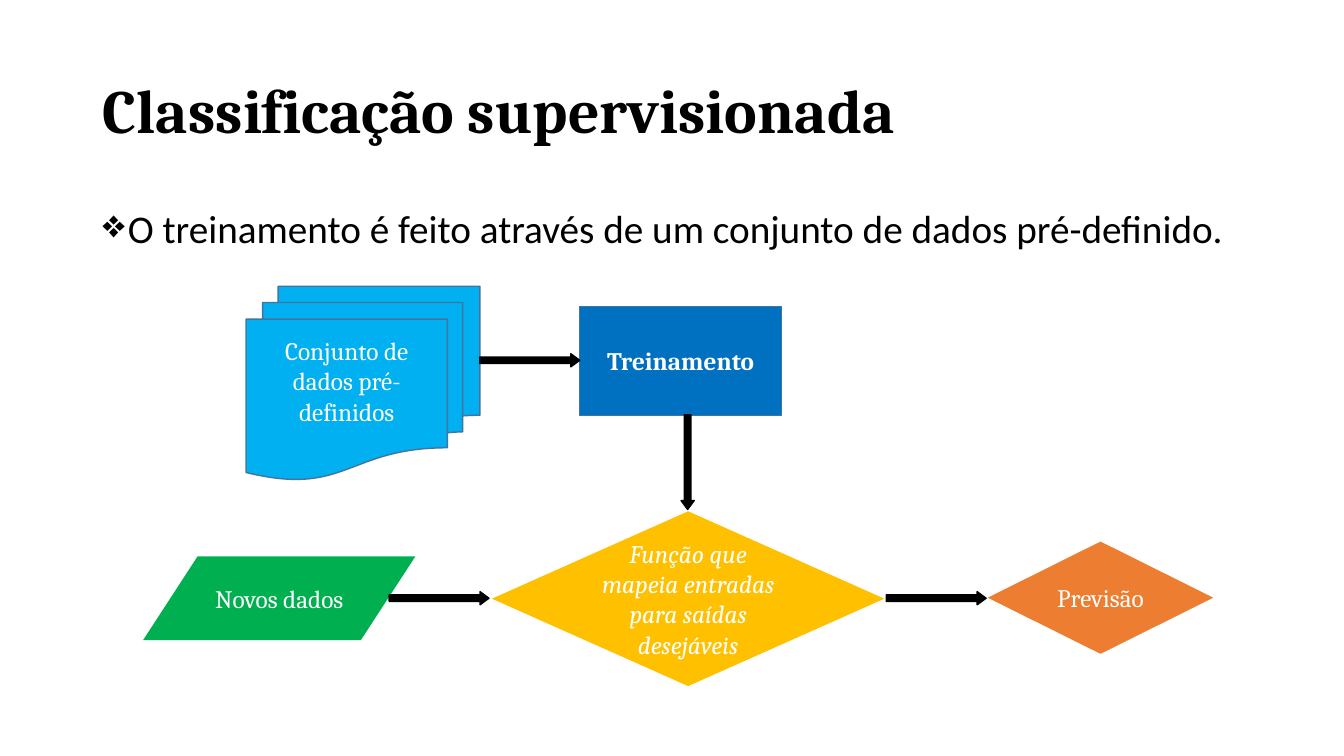
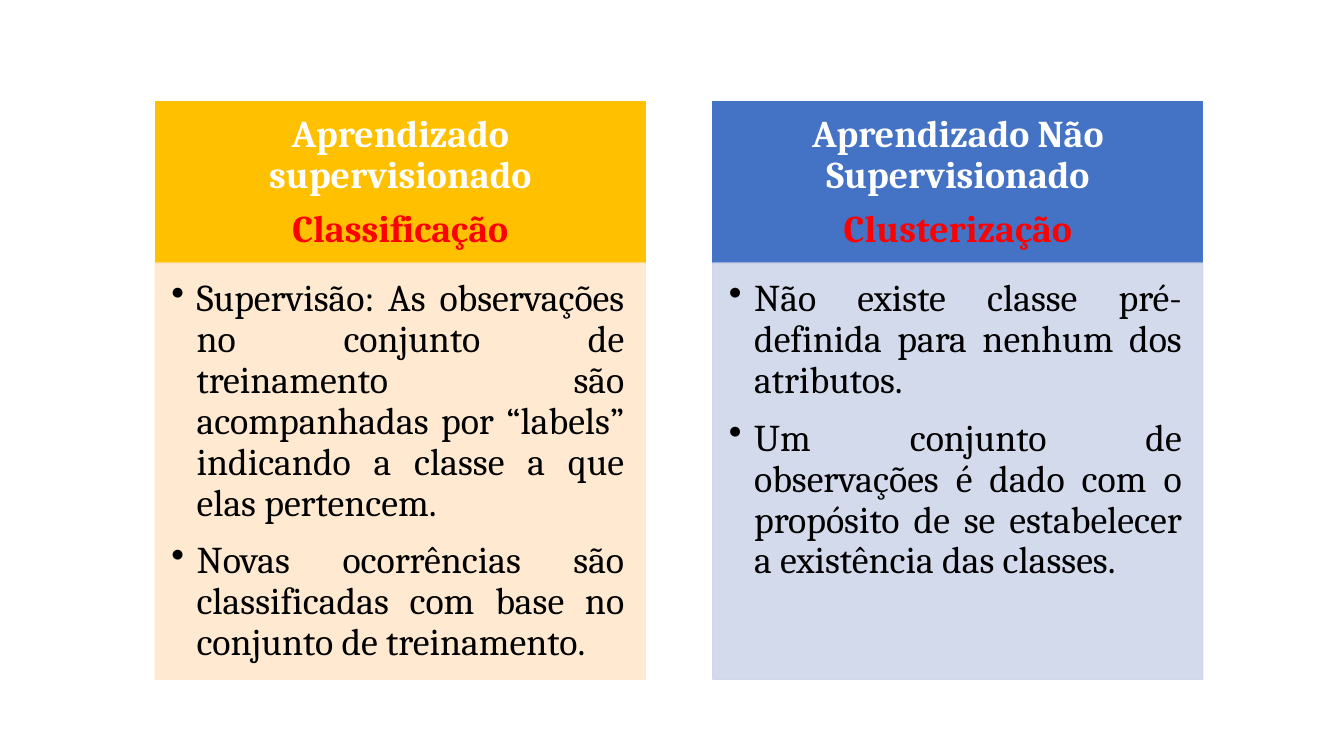
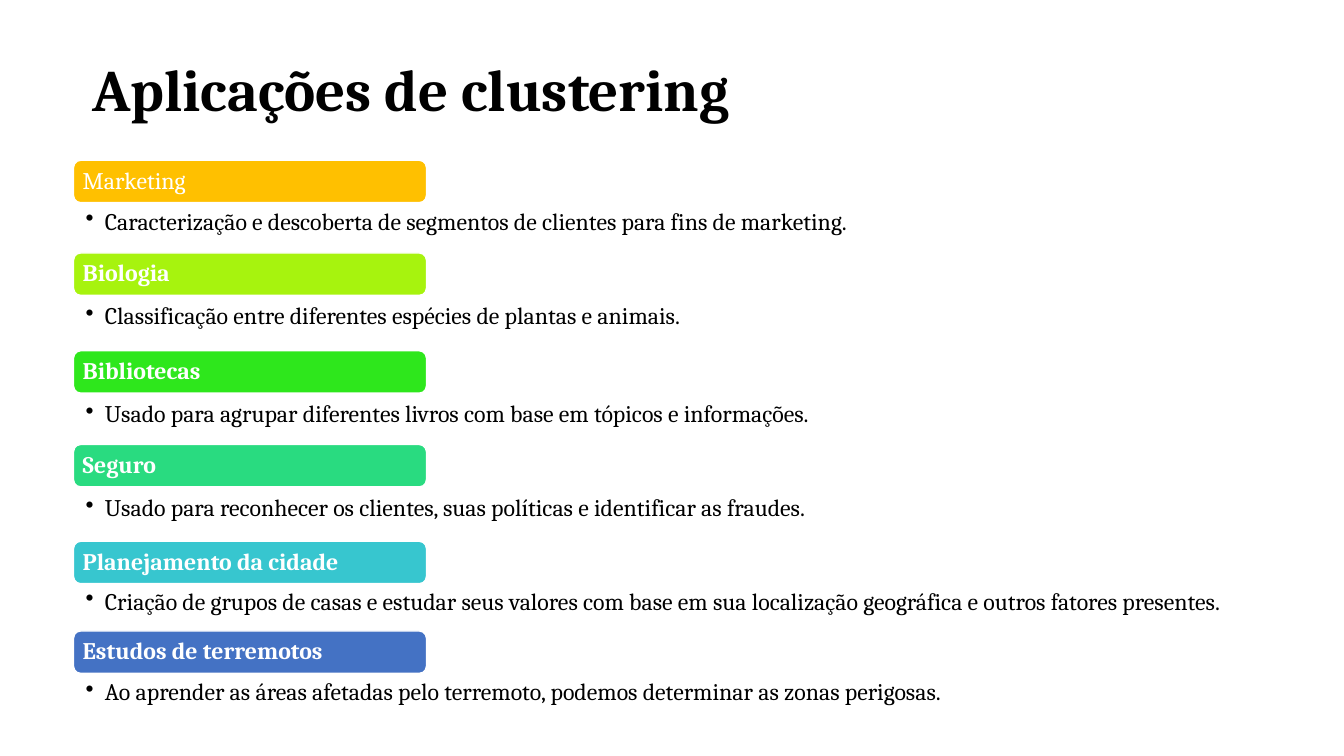
"""Build three slides on supervised learning, clustering and its uses."""
from pptx import Presentation
from pptx.dml.color import RGBColor
from pptx.enum.shapes import MSO_SHAPE as Kind
from pptx.enum.text import MSO_ANCHOR as Anchor, MSO_AUTO_SIZE as Fit, PP_ALIGN as Align
from pptx.oxml.ns import qn
from pptx.util import Inches, Pt
from lxml.etree import SubElement

HUES = {
    "black": "000000", "white": "FFFFFF", "red": "FF0000", "edge": "43739E",
    "gold": "FFC000", "blue": "4472C4", "navy": "0070C0", "sky": "00B0F0",
    "green": "00B050", "rust": "ED7D31", "cream": "FFE8CC", "pale": "CFD6EA",
    "lime": "A7F30E", "leaf": "2EE71C", "mint": "29DB80", "teal": "37C6CF",
}


def write(shape, *lines, font="Cambria", size=18, hues=("white",), bold=False, slant=False,
          align=Align.CENTER, anchor=Anchor.MIDDLE, space=1.0, before=0, after=0,
          bullet=None, hang=0.25, inset=(0.1, 0.05, 0.1, 0.05)):
    """Fill a shape with paragraphs; hues are taken in turn."""
    frame = shape.text_frame
    frame.word_wrap = True
    frame.auto_size = Fit.NONE
    frame.vertical_anchor = anchor
    frame.margin_left, frame.margin_top, frame.margin_right, frame.margin_bottom = map(Inches, inset)
    for i, line in enumerate(lines):
        para = frame.add_paragraph() if i else frame.paragraphs[0]
        para.alignment = align
        para.line_spacing = space
        para.space_before, para.space_after = Pt(before), Pt(after)
        run = para.add_run()
        run.text = line
        run.font.name, run.font.size = font, Pt(size)
        run.font.bold, run.font.italic = bold, slant
        run.font.color.rgb = RGBColor.from_string(HUES[hues[i % len(hues)]])
        if bullet:
            props = para._p.get_or_add_pPr()
            props.set("marL", str(Inches(hang)))
            props.set("indent", str(-Inches(hang)))
            SubElement(props, qn("a:buChar")).set("char", bullet)


def draw(slide, kind, box, fill, line=None, width=1, alpha=None):
    """Add a filled preset shape, with an outline if a line colour is given."""
    shape = slide.shapes.add_shape(kind, *map(Inches, box))
    shape.shadow.inherit = False
    shape.fill.solid()
    shape.fill.fore_color.rgb = RGBColor.from_string(HUES[fill])
    if line:
        shape.line.color.rgb = RGBColor.from_string(HUES[line])
        shape.line.width = Pt(width)
    else:
        shape.line.fill.background()
    if alpha:
        for tint in shape._element.spPr.iter(qn("a:srgbClr")):
            SubElement(tint, qn("a:alpha")).set("val", str(alpha * 1000))
    return shape


deck = Presentation()
deck.slide_width, deck.slide_height = Inches(13.33), Inches(7.5)
flow, pair, uses = [deck.slides.add_slide(deck.slide_layouts[n]) for n in (5, 6, 5)]

for slide, text, left, top, size in (
    (flow, "Classificação supervisionada", 0.92, 0.4, 44),
    (uses, "Aplicações de clustering", 0.82, 0.19, 42),
):
    title = slide.shapes.title
    title.left, title.top, title.width, title.height = map(Inches, (left, top, 11.5, 1.45))
    write(title, text, size=size, hues=["black"], bold=True, align=Align.LEFT, space=0.9)

body = flow.shapes.add_textbox(*map(Inches, (0.92, 2.03, 11.5, 4.76)))
write(body, "O treinamento é feito através de um conjunto de dados pré-definido.",
      font="Calibri", size=28, hues=["black"], align=Align.JUSTIFY, anchor=Anchor.TOP,
      space=0.9, before=10, bullet="❖")

for kind, box, fill, line, width, text, style in (
    (Kind.FLOWCHART_PROCESS, (5.75, 3.04, 2, 1.08), "navy", "edge", 1,
     "Treinamento", {"bold": True}),
    (Kind.FLOWCHART_DECISION, (4.85, 5.06, 3.95, 1.76), "gold", "white", 1.5,
     "Função que mapeia entradas para saídas desejáveis", {"slant": True}),
    (Kind.FLOWCHART_DATA, (1.42, 5.52, 2.7, 0.83), "green", None, 0, "Novos dados", {}),
    (Kind.FLOWCHART_DECISION, (9.77, 5.36, 2.29, 1.14), "rust", "white", 1.5, "Previsão", {}),
    (Kind.FLOWCHART_MULTIDOCUMENT, (2.44, 2.84, 2.32, 1.92), "sky", "edge", 1,
     "Conjunto de dados pré-definidos", {"inset": (0.1, 0.05, 0.1, 0.35)}),
):
    write(draw(flow, kind, box, fill, line, width), text, **style)

for left, top, width, turn in (
    (4.76, 3.51, 0.99, 0), (6.35, 4.52, 0.94, 90), (3.86, 5.87, 0.99, 0), (8.79, 5.87, 0.99, 0),
):
    arrow = draw(flow, Kind.RIGHT_ARROW, (left, top, width, 0.13), "black", "black")
    arrow.adjustments[1] = 0.68
    arrow.rotation = turn

for left, dark, light, heads, points in (
    (1.54, "gold", "cream", ("Aprendizado supervisionado", "Classificação"),
     ("Supervisão: As observações no conjunto de treinamento são acompanhadas por “labels” "
      "indicando a classe a que elas pertencem.",
      "Novas ocorrências são classificadas com base no conjunto de treinamento.")),
    (7.07, "blue", "pale", ("Aprendizado Não Supervisionado", "Clusterização"),
     ("Não existe classe pré-definida para nenhum dos atributos.",
      "Um conjunto de observações é dado com o propósito de se estabelecer "
      "a existência das classes.")),
):
    head = draw(pair, Kind.RECTANGLE, (left, 1.01, 4.86, 1.6), dark, dark)
    write(head, *heads, size=27, hues=("white", "red"), bold=True, space=0.9, after=9.45,
          inset=(0.21, 0.12, 0.21, 0.12))
    panel = draw(pair, Kind.RECTANGLE, (left, 2.61, 4.86, 4.13), light, light, alpha=90)
    write(panel, *points, size=27, hues=["black"], align=Align.JUSTIFY, anchor=Anchor.TOP,
          space=0.9, after=12, bullet="•", inset=(0.16, 0.16, 0.21, 0.24))

for top, low, fill, name, text in (
    (1.59, 2.06, "gold", "Marketing",
     "Caracterização e descoberta de segmentos de clientes para fins de marketing."),
    (2.51, 3, "lime", "Biologia",
     "Classificação entre diferentes espécies de plantas e animais."),
    (3.48, 3.97, "leaf", "Bibliotecas",
     "Usado para agrupar diferentes livros com base em tópicos e informações."),
    (4.41, 4.9, "mint", "Seguro",
     "Usado para reconhecer os clientes, suas políticas e identificar as fraudes."),
    (5.37, 5.83, "teal", "Planejamento da cidade",
     "Criação de grupos de casas e estudar seus valores com base em sua localização "
     "geográfica e outros fatores presentes."),
    (6.26, 6.73, "blue", "Estudos de terremotos",
     "Ao aprender as áreas afetadas pelo terremoto, podemos determinar as zonas perigosas."),
):
    label = draw(uses, Kind.ROUNDED_RECTANGLE, (0.73, top, 3.5, 0.42), fill, "white")
    write(label, name, size=17, bold=name != "Marketing", align=Align.LEFT, space=0.9,
          inset=(0.07, 0.07, 0.07, 0.07))
    note = uses.shapes.add_textbox(*map(Inches, (0.45, low, 12.45, 0.56)))
    write(note, text, size=17, hues=["black"], align=Align.LEFT, anchor=Anchor.TOP, space=0.9,
          bullet="•", hang=0.19, inset=(0.4, 0.02, 0.13, 0.02))

deck.save("out.pptx")
